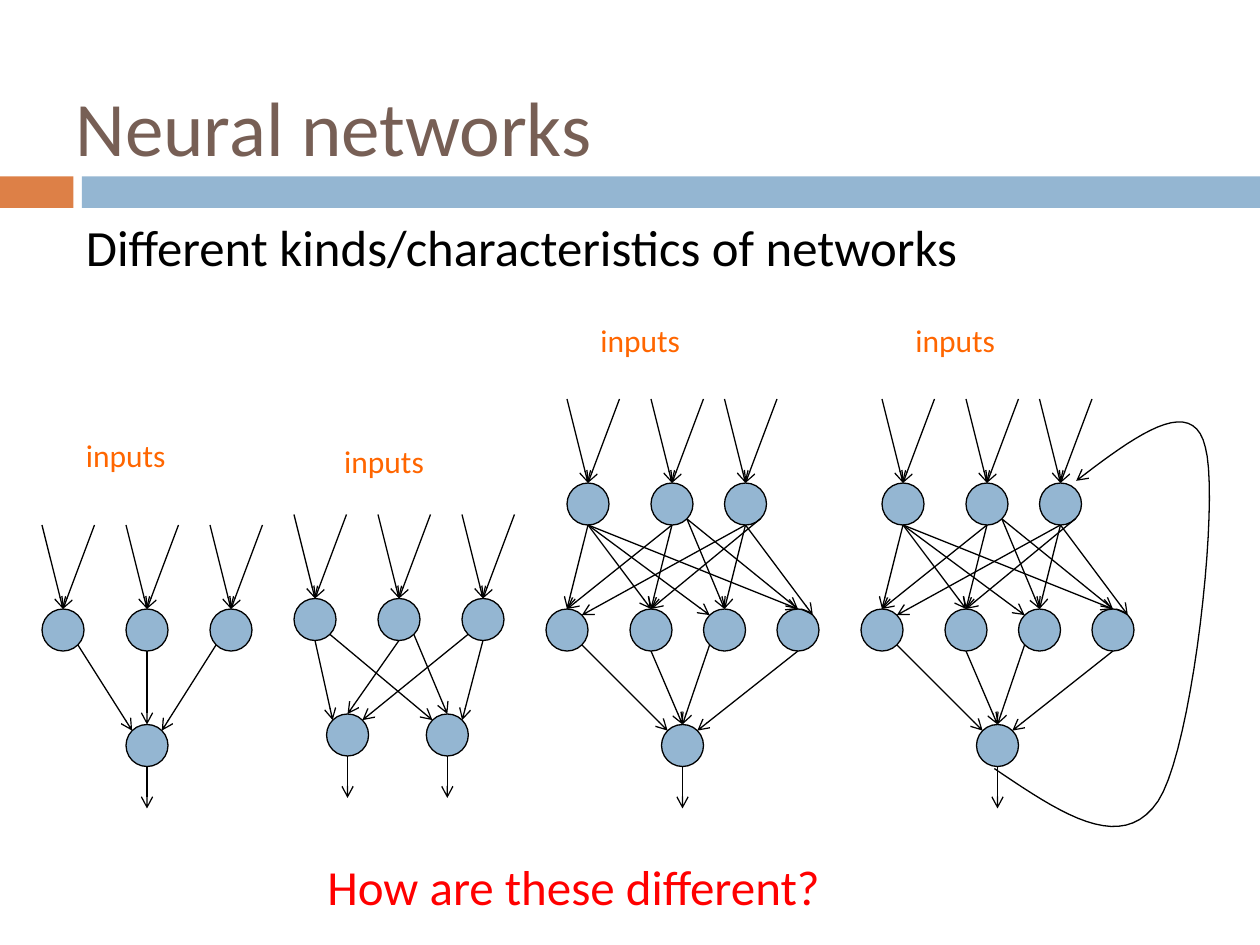
import itertools
from dataclasses import dataclass

import pptx
import pptx.dml.color
import pptx.enum.shapes
import pptx.enum.text
import pptx.oxml
import pptx.oxml.ns
import pptx.util

COLUMNS, ROWS = 120, 90
UNIT = pptx.util.Inches(10) // COLUMNS
RADIUS = 2
DIAGONAL = RADIUS * 0.5 ** 0.5
SITES = {
    "t": (0, -RADIUS),
    "tl": (-DIAGONAL, -DIAGONAL),
    "tr": (DIAGONAL, -DIAGONAL),
    "b": (0, RADIUS),
    "bl": (-DIAGONAL, DIAGONAL),
    "br": (DIAGONAL, DIAGONAL),
}


@dataclass(frozen=True)
class Theme:
    font: str = "Calibri"
    title: str = "775F55"
    accent: str = "DD8047"
    blue: str = "94B6D2"
    ink: str = "000000"
    label: str = "FF6600"
    question: str = "FF0000"
    title_size: int = 44
    body_size: int = 29
    question_size: int = 28
    label_size: int = 18
    line_width: float = 0.75


@dataclass(frozen=True)
class Network:
    layers: tuple
    links: tuple
    label: tuple


THEME = Theme()
SINGLE = Network(
    layers=((10, (2, 10, 18)), (21, (10,))),
    links=("0br-0tl 1b-0t 2bl-0tr",),
    label=(3, -9.1, 10.5, 4.8),
)
DOUBLE = Network(
    layers=((10, (2, 10, 18)), (21, (5.1, 14.6))),
    links=("0b-0tl 1b-0t 2bl-0tr 0br-1tl 1br-1t 2b-1tr",),
    label=(3.6, -7.5, 10.5, 4.8),
)
HIDDEN = Network(
    layers=((10, (4, 12, 19)), (22, (2, 10, 17, 24)), (33, (13,))),
    links=(
        "0b-0t 0b-1t 0b-2tl 0b-3t 1b-0t 1b-1t 1br-2t 1br-3t 2b-0tr 2br-1t 2b-2t 2b-3tr",
        "0br-0tl 1b-0t 2bl-0t 3b-0tr",
    ),
    label=(4, -8, 22, 6),
)
FEEDBACK = (
    (12.7, 35.2),
    (18.8, 39.3), (24.8, 43.5), (28.3, 38.3),
    (31.6, 33.3), (34.2, 9.6), (32.8, 4.6),
    (31.6, -0.6), (26, 3.6), (20.5, 7.8),
)


def grid(*values):
    return [round(value * UNIT) for value in values]


def color(value):
    return pptx.dml.color.RGBColor.from_string(value)


def write(box, text, size, ink):
    frame = box.text_frame
    frame.word_wrap = True
    frame.text = text
    para = frame.paragraphs[0]
    para.alignment = pptx.enum.text.PP_ALIGN.LEFT
    font = para.runs[0].font
    font.name, font.size = THEME.font, pptx.util.Pt(size)
    font.color.rgb = color(ink)


def add_text(page, area, text, size, ink):
    write(page.shapes.add_textbox(*grid(*area)), text, size, ink)


def add_solid(page, preset, area, fill):
    shape = page.shapes.add_shape(preset, *grid(*area))
    shape.shadow.inherit = False
    shape.fill.solid()
    shape.fill.fore_color.rgb = color(fill)
    return shape


def ink_line(shape, arrow=False):
    shape.line.color.rgb = color(THEME.ink)
    shape.line.width = pptx.util.Pt(THEME.line_width)
    if arrow:
        tail = pptx.oxml.parse_xml(
            f'<a:tailEnd {pptx.oxml.ns.nsdecls("a")} type="arrow"/>')
        shape.line._get_or_add_ln().append(tail)


def add_arrow(page, start, end, target=None):
    arrow = page.shapes.add_connector(
        pptx.enum.shapes.MSO_CONNECTOR.STRAIGHT, *grid(*start, *end))
    ink_line(arrow, arrow=True)
    arrow._element.spPr.append(
        pptx.oxml.parse_xml(f'<a:effectLst {pptx.oxml.ns.nsdecls("a")}/>'))
    if target is not None:
        arrow.end_connect(target, 0)


def add_node(page, x, y):
    node = add_solid(
        page, pptx.enum.shapes.MSO_SHAPE.OVAL,
        (x - RADIUS, y - RADIUS, 2 * RADIUS, 2 * RADIUS), THEME.blue)
    ink_line(node)
    return node


def add_network(page, left, top, network):
    layers = []
    for row, columns in network.layers:
        centres = [(left + column, top + row) for column in columns]
        layers.append([(x, y, add_node(page, x, y)) for x, y in centres])
    for x, y, node in layers[0]:
        for shift in (-2, 3):
            add_arrow(page, (x + shift, top), (x, y - RADIUS), node)
    for (sources, targets), links in zip(itertools.pairwise(layers), network.links):
        for link in links.split():
            begin, finish = link.split("-")
            x1, y1, _ = sources[int(begin[0])]
            x2, y2, node = targets[int(finish[0])]
            dx1, dy1 = SITES[begin[1:]]
            dx2, dy2 = SITES[finish[1:]]
            add_arrow(page, (x1 + dx1, y1 + dy1), (x2 + dx2, y2 + dy2),
                      node if finish[1:] == "t" else None)
    for x, y, _ in layers[-1]:
        add_arrow(page, (x, y + RADIUS), (x, y + RADIUS + 4))
    dx, dy, width, height = network.label
    add_text(page, (left + dx, top + dy, width, height),
             "inputs", THEME.label_size, THEME.label)


def bezier(a, b, c, d, t):
    u = 1 - t
    return tuple(u**3 * p + 3 * u * u * t * q + 3 * u * t * t * r + t**3 * s
                 for p, q, r, s in zip(a, b, c, d))


def add_feedback(page, left, top, steps=20):
    points = [(left + x, top + y) for x, y in FEEDBACK]
    curve = [bezier(*points[first:first + 4], step / steps)
             for first in range(0, len(points) - 1, 3)
             for step in range(1, steps + 1)]
    builder = page.shapes.build_freeform(*grid(*points[0]))
    builder.add_line_segments([grid(*point) for point in curve], close=False)
    loop = builder.convert_to_shape()
    loop.shadow.inherit = False
    loop.fill.background()
    ink_line(loop, arrow=True)


def add_header(page, top):
    for area, fill in (((0, top, 7, 3), THEME.accent),
                       ((7.8, top, COLUMNS - 7.8, 3), THEME.blue)):
        bar = add_solid(page, pptx.enum.shapes.MSO_SHAPE.RECTANGLE, area, fill)
        bar.line.fill.background()
    title = page.shapes.title
    title.left, title.top, title.width, title.height = grid(6, 3, 108, 18)
    write(title, "Neural networks", THEME.title_size, THEME.title)
    title.text_frame.vertical_anchor = pptx.enum.text.MSO_ANCHOR.MIDDLE


def main():
    deck = pptx.Presentation()
    deck.slide_width, deck.slide_height = grid(COLUMNS, ROWS)
    page = deck.slides.add_slide(deck.slide_layouts.get_by_name("Title Only"))
    add_header(page, 16.8)
    add_text(page, (7, 20, 108, 11), "Different kinds/characteristics of networks",
             THEME.body_size, THEME.ink)
    for left, top, network in ((4, 50, SINGLE), (28, 49, DOUBLE),
                               (52, 38, HIDDEN), (82, 38, HIDDEN)):
        add_network(page, left, top, network)
    add_feedback(page, 82, 38)
    add_text(page, (30, 81, 56, 6.8), "How are these different?",
             THEME.question_size, THEME.question)
    deck.save("out.pptx")


if __name__ == "__main__":
    main()
